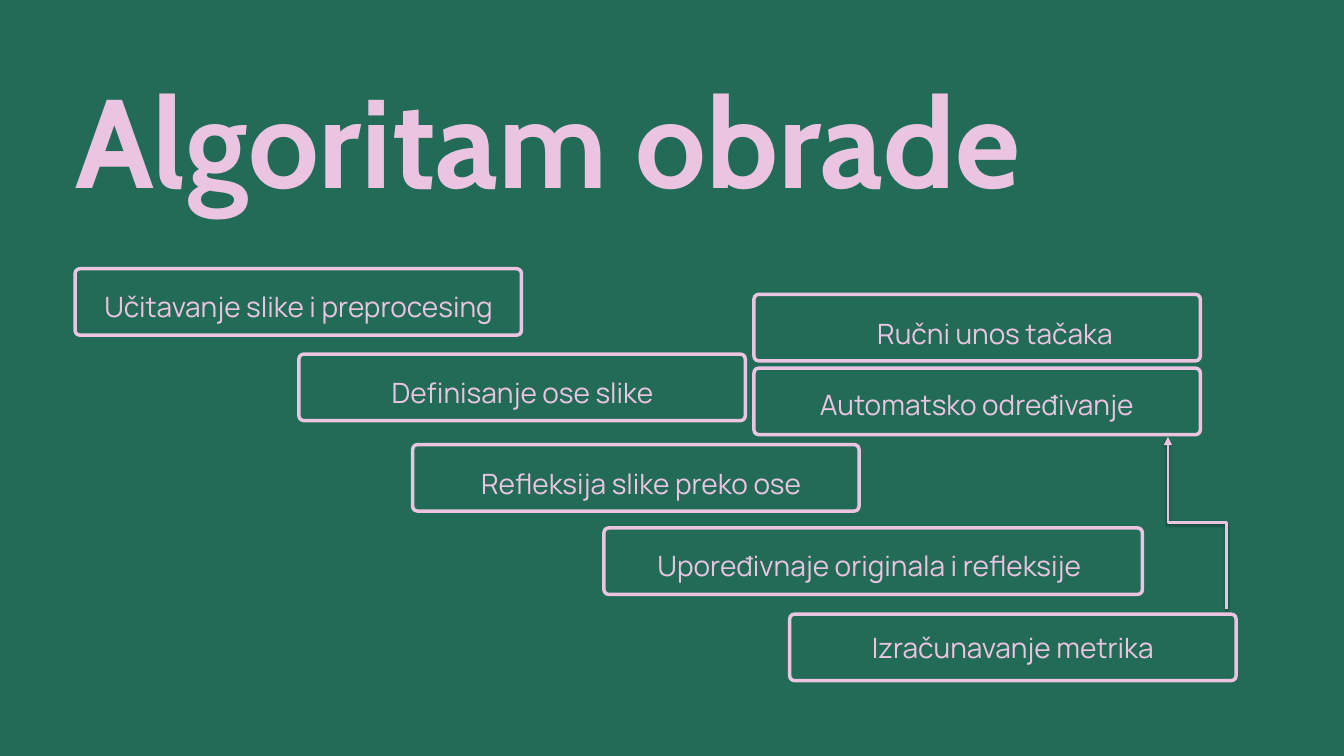
from lxml import etree
from pptx import Presentation
from pptx import util as u
from pptx.dml.color import RGBColor
from pptx.enum import shapes, text
from pptx.oxml import parse_xml
from pptx.oxml.ns import nsdecls, qn

COLORS = {"green": "216B57", "pink": "EBC4E1", "shadow": "000000"}
ALIGN = text.PP_ALIGN
BOX_WIDTH, BOX_HEIGHT, LABEL_HEIGHT = 16.87, 2.51, 1.8

# Step: box left, top, width; label left, top, width; alignment; wording
STEPS = [
    (2.84, 10.16, BOX_WIDTH, 1.75, 10.44, 19.08, ALIGN.CENTER, "Učitavanje slike i preprocesing"),
    (11.3, 13.39, BOX_WIDTH, 13.87, 13.69, 11.76, ALIGN.CENTER, "Definisanje ose slike"),
    (15.6, 16.81, BOX_WIDTH, 17.07, 17.12, 14.33, ALIGN.CENTER, "Refleksija slike preko ose"),
    (22.83, 19.96, 20.35, 23.01, 20.24, 19.71, ALIGN.CENTER, "Upoređivnaje originala i refleksije"),
    (29.85, 23.22, BOX_WIDTH, 31.45, 23.32, 13.67, ALIGN.CENTER, "Izračunavanje metrika"),
    (28.5, 11.13, BOX_WIDTH, 31.8, 11.46, 10.26, ALIGN.RIGHT, "Ručni unos tačaka"),
    (28.5, 13.92, BOX_WIDTH, 30.05, 14.15, 13.74, ALIGN.CENTER, "Automatsko određivanje"),
]


class SlideBuilder:
    def __init__(self, page):
        self.page = page
        self.ink = RGBColor.from_string(COLORS["pink"])
        fill = page.background.fill
        fill.solid()
        fill.fore_color.rgb = RGBColor.from_string(COLORS["green"])

    def label(self, left, top, width, height, words, font, size, align, spacing, bold=False):
        box = self.page.shapes.add_textbox(u.Cm(left), u.Cm(top), u.Cm(width), u.Cm(height))
        frame = box.text_frame
        frame.margin_left = frame.margin_right = frame.margin_top = frame.margin_bottom = 0
        frame.word_wrap = True
        frame.auto_size = text.MSO_AUTO_SIZE.SHAPE_TO_FIT_TEXT
        frame.text = words
        para = frame.paragraphs[0]
        para.alignment = align
        para.line_spacing = spacing
        span = para.runs[0]
        span.font.name = font
        span.font.size = u.Pt(size)
        span.font.bold = bold
        span.font.color.rgb = self.ink

    def outline(self, left, top, width, height):
        box = self.page.shapes.add_shape(
            shapes.MSO_SHAPE.ROUNDED_RECTANGLE, u.Cm(left), u.Cm(top), u.Cm(width), u.Cm(height))
        box.adjustments[0] = 0.07
        box.shadow.inherit = False
        box.fill.background()
        box.line.color.rgb = self.ink
        box.line.width = u.Pt(3.75)

    def rising_arrow(self, center_x, center_y, rise, run):
        """Elbow that climbs, steps left and climbs again: a flat elbow turned by 270 degrees."""
        arrow = self.page.shapes.add_connector(
            shapes.MSO_CONNECTOR.ELBOW,
            u.Cm(center_x - rise / 2), u.Cm(center_y + run / 2),
            u.Cm(center_x + rise / 2), u.Cm(center_y - run / 2))
        arrow.line.color.rgb = self.ink
        arrow.line.width = u.Pt(3)
        properties = arrow._element.spPr
        properties.find(qn("a:xfrm")).set("rot", str(270 * 60000))
        etree.SubElement(properties.find(qn("a:ln")), qn("a:tailEnd"), type="triangle")
        properties.append(parse_xml(
            f'<a:effectLst {nsdecls("a")}>'
            '<a:outerShdw blurRad="40000" dist="23000" dir="5400000" rotWithShape="0">'
            f'<a:srgbClr val="{COLORS["shadow"]}"><a:alpha val="35000"/></a:srgbClr>'
            '</a:outerShdw></a:effectLst>'))


def main():
    deck = Presentation()
    deck.slide_width, deck.slide_height = u.Cm(50.8), u.Cm(28.58)
    builder = SlideBuilder(deck.slides.add_slide(deck.slide_layouts[6]))

    # Title
    builder.label(2.84, 2.72, 45.87, 5.54, "Algoritam obrade", "Cabin", 135,
                  ALIGN.JUSTIFY, 0.96, bold=True)

    # Steps of the algorithm
    for left, top, width, label_left, label_top, label_width, align, words in STEPS:
        builder.outline(left, top, width, BOX_HEIGHT)
        builder.label(label_left, label_top, label_width, LABEL_HEIGHT, words,
                      "Manrope", 30, align, 1.4)

    # Feedback from the metrics to the automatic choice
    builder.rising_arrow(45.25, 19.76, rise=6.5, run=2.21)

    deck.save("out.pptx")


if __name__ == "__main__":
    main()
